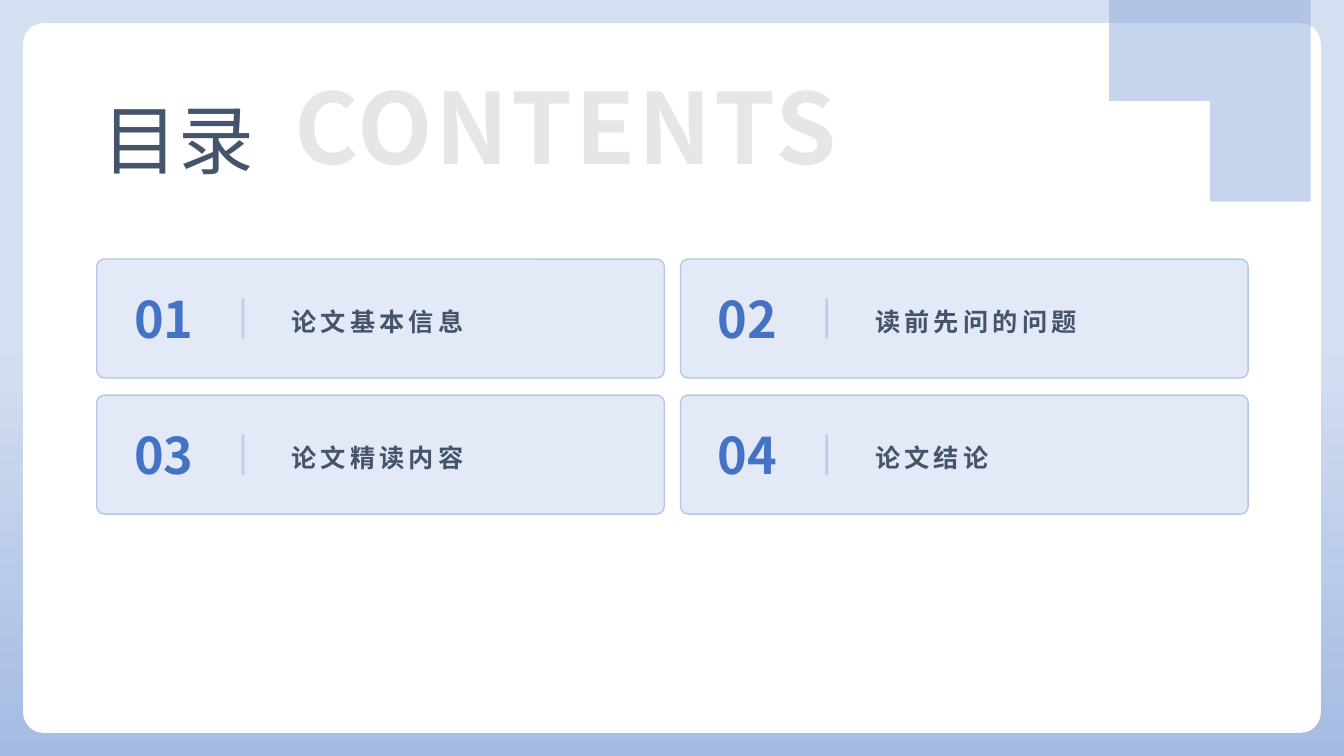
"""Build the contents slide: a rounded card with four numbered sections."""
from math import cos, radians, sin

from lxml.etree import SubElement
from pptx import Presentation
from pptx.dml.color import RGBColor
from pptx.enum.shapes import MSO_CONNECTOR, MSO_SHAPE
from pptx.enum.text import MSO_ANCHOR, PP_ALIGN
from pptx.oxml.ns import qn
from pptx.util import Inches, Pt

FONT = "Noto Sans CJK SC"
BLUE, PALE, SLATE = "4472C4", "B4C7E7", "44546A"
WIDTH, HEIGHT, MARGIN, RADIUS = 13.33, 7.5, 0.23, 0.2


def paint(fill, color, alpha=100):
    fill.solid()
    fill.fore_color.rgb = RGBColor.from_string(color)
    if alpha < 100:
        clr = fill._xPr.find(".//" + qn("a:srgbClr"))
        SubElement(clr, qn("a:alpha"), val=str(alpha * 1000))


def write(sp, text, size, color, bold=False, align=PP_ALIGN.LEFT,
          anchor=MSO_ANCHOR.MIDDLE, spacing=1.0, tracking=0, inset=0.0, wrap=True):
    tf = sp.text_frame
    tf.word_wrap = wrap
    tf.vertical_anchor = anchor
    tf.margin_left = tf.margin_right = Inches(inset)
    tf.margin_top = tf.margin_bottom = Inches(inset / 2)
    p = tf.paragraphs[0]
    p.alignment = align
    p.line_spacing = spacing
    r = p.add_run()
    r.text = text
    r.font.size = Pt(size)
    r.font.bold = bold
    r.font.name = FONT
    paint(r.font.fill, color)
    rPr = r.font._element
    SubElement(rPr, qn("a:ea"), typeface=FONT)
    if tracking:
        rPr.set("spc", str(tracking * 100))


prs = Presentation()
prs.slide_width, prs.slide_height = Inches(WIDTH), Inches(HEIGHT)
s = prs.slides.add_slide(prs.slide_layouts[5])

backdrop = s.shapes.add_shape(MSO_SHAPE.RECTANGLE, 0, 0, prs.slide_width, prs.slide_height)
backdrop.shadow.inherit = False
backdrop.line.fill.background()
backdrop.fill.gradient()
backdrop.fill.gradient_angle = 270
for stop, position, color in zip(backdrop.fill.gradient_stops, (0.45, 1), ("D4DFF1", "A5BBE3")):
    stop.position = position
    stop.color.rgb = RGBColor.from_string(color)

card_w, card_h = WIDTH - 2 * MARGIN, HEIGHT - 2 * MARGIN
card = s.shapes.add_shape(MSO_SHAPE.ROUNDED_RECTANGLE, Inches(MARGIN), Inches(MARGIN),
                          Inches(card_w), Inches(card_h))
card.adjustments[0] = RADIUS / card_h
card.shadow.inherit = False
card.line.fill.background()
paint(card.fill, "FFFFFF")

arcs = [(12.9, 0.43, RADIUS, range(-90, 1, 5)), (12.79, 0.16, 1.75, range(80, 179, 1))]
points = [(cx + radius * cos(radians(a)), cy + radius * sin(radians(a)))
          for cx, cy, radius, angles in arcs for a in angles]
builder = s.shapes.build_freeform(*points[0], scale=Inches(1))
builder.add_line_segments(points[1:])
corner = builder.convert_to_shape()
corner.shadow.inherit = False
corner.line.fill.background()
paint(corner.fill, "8FAADC", 50)

title = s.shapes.title
title.left, title.top, title.width, title.height = map(Inches, (0.92, 0.84, 1.83, 1.18))
title.element.getparent().append(title.element)
write(title, "目录", 54, SLATE, spacing=0.9, inset=0.1)

sp = s.shapes.add_textbox(Inches(2.92), Inches(0.66), Inches(5.6), Inches(1.41))
write(sp, "CONTENTS", 70, "E7E6E6", bold=True, anchor=MSO_ANCHOR.TOP, tracking=2, wrap=False)

sections = ["论文基本信息", "读前先问的问题", "论文精读内容", "论文结论"]
box_w, box_h = 5.63, 1.18
for i, section in enumerate(sections):
    row, col = divmod(i, 2)
    x, y = 0.96 + col * 5.79, 2.57 + row * 1.35

    box = s.shapes.add_shape(MSO_SHAPE.ROUNDED_RECTANGLE, Inches(x), Inches(y),
                             Inches(box_w), Inches(box_h))
    box.adjustments[0] = 0.064
    box.shadow.inherit = False
    paint(box.fill, BLUE, 15)
    paint(box.line.fill, PALE)
    box.line.width = Pt(1)

    rule = s.shapes.add_connector(MSO_CONNECTOR.STRAIGHT, Inches(x + 1.45), Inches(y + 0.79),
                                  Inches(x + 1.45), Inches(y + 0.39))
    paint(rule.line.fill, PALE, 80)
    rule.line.width = Pt(2)
    SubElement(rule._element.spPr, qn("a:effectLst"))

    sp = s.shapes.add_textbox(Inches(x + 0.16), Inches(y), Inches(1.01), Inches(box_h))
    write(sp, f"{i + 1:02}", 36, BLUE, bold=True, align=PP_ALIGN.CENTER, wrap=False)

    sp = s.shapes.add_textbox(Inches(x + 1.93), Inches(y + 0.16), Inches(3.53), Inches(0.85))
    write(sp, section, 18, SLATE, bold=True, spacing=1.2, tracking=3)

prs.save("out.pptx")
